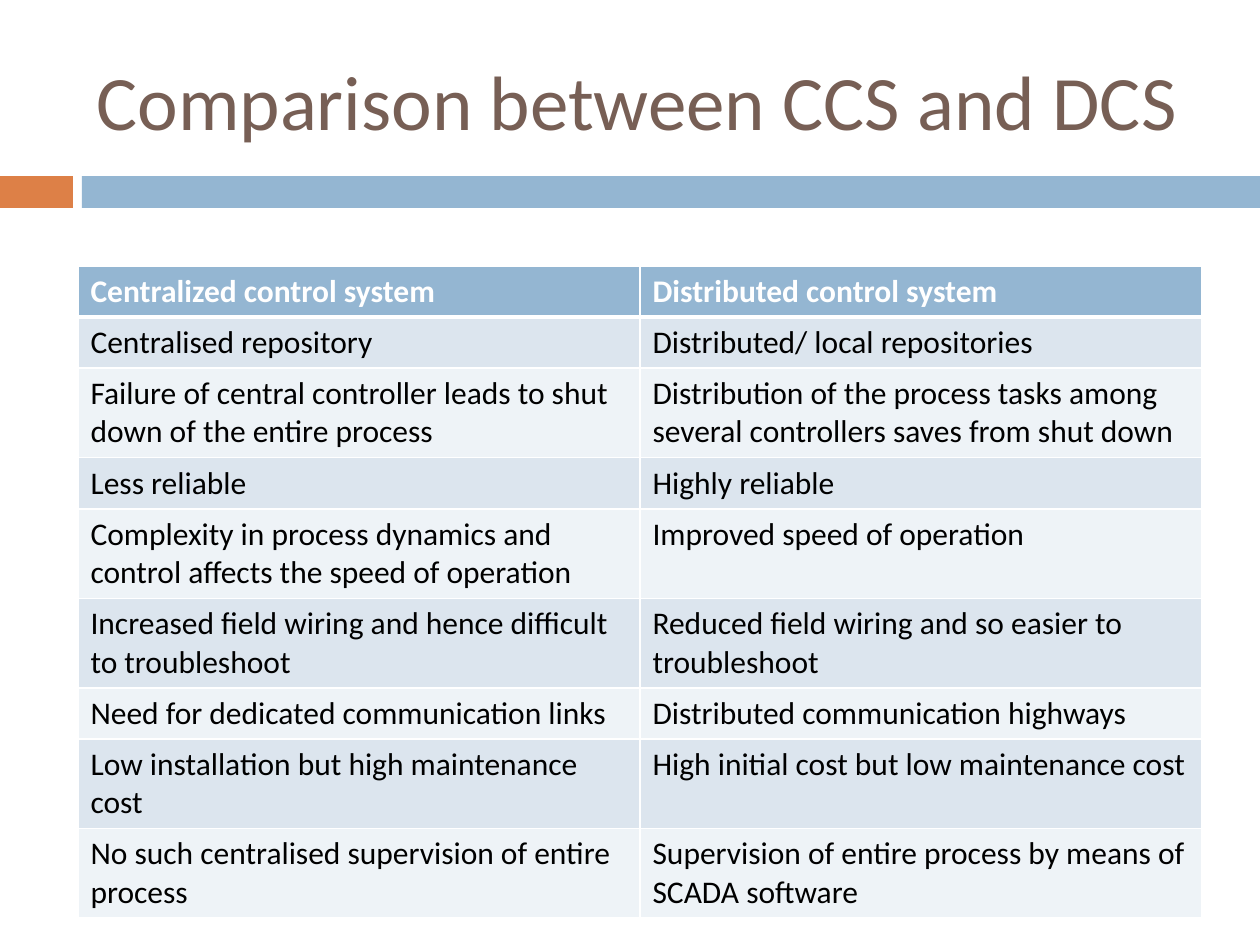
from lxml.etree import SubElement
from pptx import Presentation
from pptx.dml.color import RGBColor
from pptx.enum.shapes import MSO_SHAPE
from pptx.enum.text import MSO_ANCHOR, PP_ALIGN
from pptx.oxml.ns import qn
from pptx.util import Emu, Pt

PX_PER_INCH = 126
FONT = "Calibri"
COLORS = {
    "title": "775F55",
    "accent": "DD8047",
    "band": "94B6D2",
    "odd_row": "DCE5EE",
    "even_row": "EEF3F7",
    "white": "FFFFFF",
    "black": "000000",
}
COMPARISON = [
    ("Centralized control system", "Distributed control system"),
    ("Centralised repository", "Distributed/ local repositories"),
    ("Failure of central controller leads to shut down of the entire process",
     "Distribution of the process tasks among several controllers saves from shut down"),
    ("Less reliable", "Highly reliable"),
    ("Complexity in process dynamics and control affects the speed of operation",
     "Improved speed of operation"),
    ("Increased field wiring and hence difficult to troubleshoot",
     "Reduced field wiring and so easier to troubleshoot"),
    ("Need for dedicated communication links", "Distributed communication highways"),
    ("Low installation but high maintenance cost",
     "High initial cost but low maintenance cost"),
    ("No such centralised supervision of entire process",
     "Supervision of entire process by means of SCADA software"),
]


def px(length):
    return Emu(round(length * 914400 / PX_PER_INCH))


def color(name):
    return RGBColor.from_string(COLORS[name])


def add_text(frame, text, size, color_name, bold=False):
    paragraph = frame.paragraphs[0]
    paragraph.alignment = PP_ALIGN.LEFT
    run = paragraph.add_run()
    run.text = text
    run.font.name = FONT
    run.font.size = Pt(size)
    run.font.bold = bold
    run.font.color.rgb = color(color_name)


def add_bar(slide, left, width, color_name):
    bar = slide.shapes.add_shape(MSO_SHAPE.RECTANGLE, px(left), px(176), px(width), px(32))
    bar.shadow.inherit = False
    bar.fill.solid()
    bar.fill.fore_color.rgb = color(color_name)
    bar.line.fill.background()


def place_title(slide, text):
    title = slide.shapes.title
    title.left, title.top, title.width, title.height = px(84), px(32), px(1124), px(136)
    title.text_frame.vertical_anchor = MSO_ANCHOR.MIDDLE
    add_text(title.text_frame, text, 44, "title")


def set_borders(cell, top, bottom):
    """Draw white cell borders; top and bottom are widths in points."""
    properties = cell._tc.get_or_add_tcPr()
    for side, width in (("L", 1), ("R", 1), ("T", top), ("B", bottom)):
        line = SubElement(properties, qn(f"a:ln{side}"), w=str(Pt(width)))
        fill = SubElement(line, qn("a:solidFill"))
        SubElement(fill, qn("a:srgbClr"), val=COLORS["white"])


def format_cell(cell, text, row):
    is_header = row == 0
    set_borders(cell, top=3 if row == 1 else 1, bottom=3 if is_header else 1)
    fill_name = "band" if is_header else ("odd_row" if row % 2 else "even_row")
    cell.fill.solid()
    cell.fill.fore_color.rgb = color(fill_name)
    add_text(cell.text_frame, text, 18, "white" if is_header else "black", bold=is_header)


def add_comparison_table(slide, rows):
    row_height, column_width = 51, 562
    table = slide.shapes.add_table(
        len(rows), 2, px(78), px(266), px(2 * column_width), px(len(rows) * row_height)
    ).table
    for row, texts in enumerate(rows):
        table.rows[row].height = px(row_height)
        for column, text in enumerate(texts):
            format_cell(table.cell(row, column), text, row)


def main():
    presentation = Presentation()
    presentation.slide_width, presentation.slide_height = px(1260), px(945)
    slide = presentation.slides.add_slide(presentation.slide_layouts[5])
    add_bar(slide, 0, 73, "accent")
    add_bar(slide, 82, 1178, "band")
    place_title(slide, "Comparison between CCS and DCS")
    add_comparison_table(slide, COMPARISON)
    presentation.save("out.pptx")


if __name__ == "__main__":
    main()
